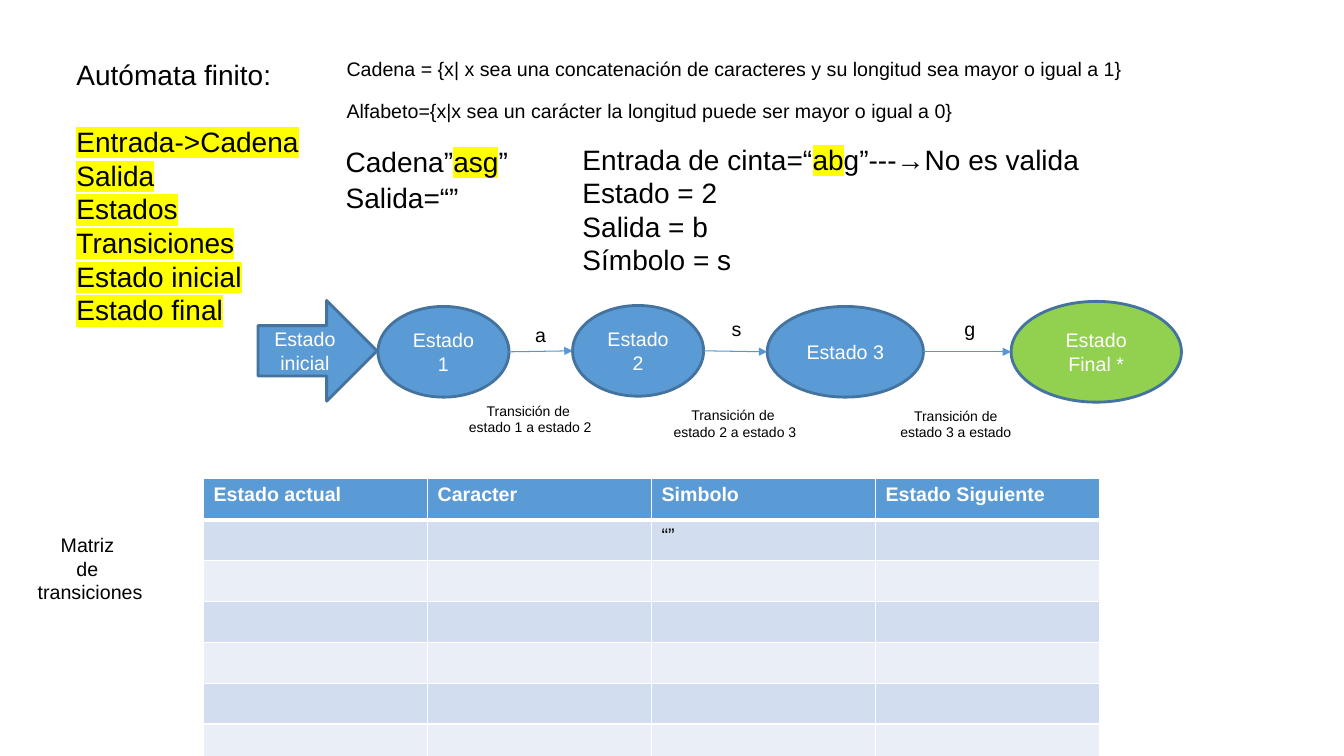
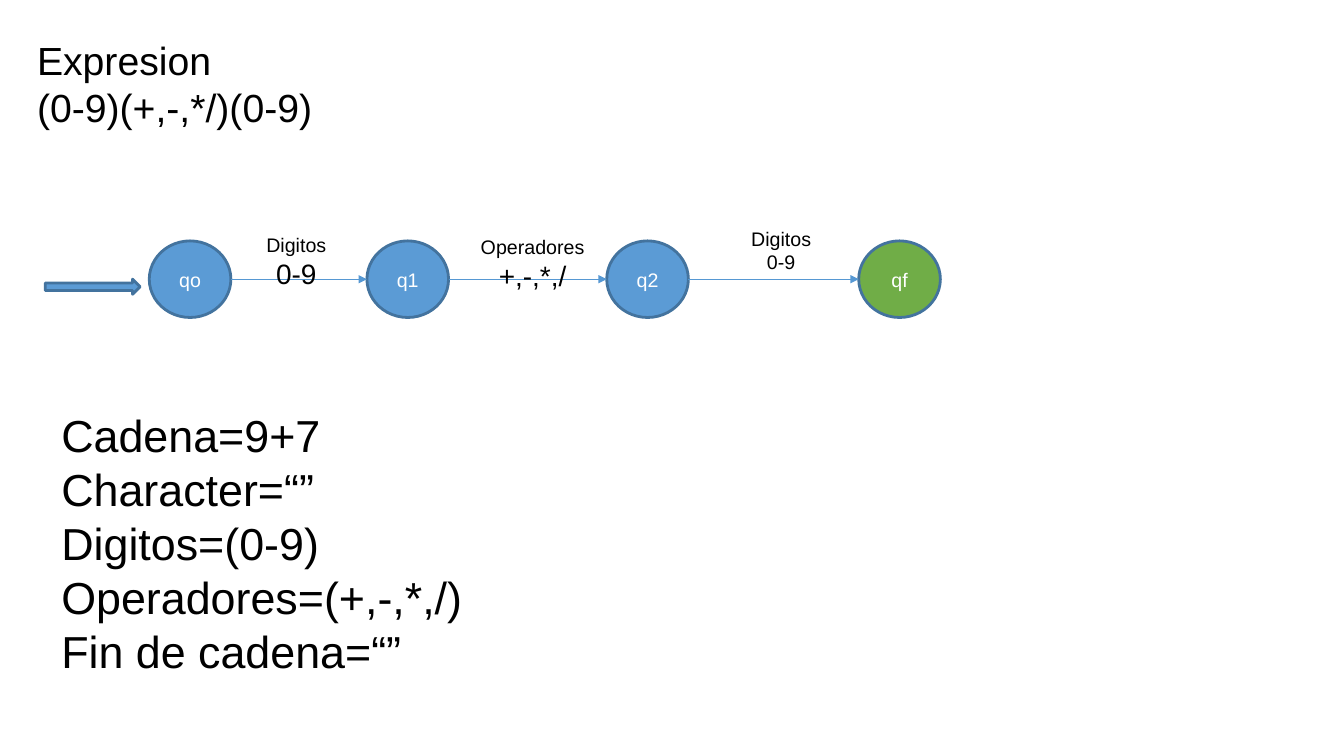
from itertools import pairwise

from lxml.etree import SubElement
from pptx import Presentation
from pptx.dml.color import RGBColor
from pptx.enum.shapes import MSO_CONNECTOR, MSO_SHAPE
from pptx.enum.text import MSO_ANCHOR, MSO_AUTO_SIZE, PP_ALIGN
from pptx.oxml import parse_xml
from pptx.oxml.ns import nsdecls, qn
from pptx.util import Pt

BLACK = RGBColor(0x00, 0x00, 0x00)
WHITE = RGBColor(0xFF, 0xFF, 0xFF)
BLUE = RGBColor(0x5B, 0x9B, 0xD5)
EDGE = RGBColor(0x43, 0x73, 0x9E)
LINK = RGBColor(0x56, 0x98, 0xD3)
LIME = RGBColor(0x92, 0xD0, 0x50)
GREEN = RGBColor(0x70, 0xAD, 0x47)
BAND = RGBColor(0xD2, 0xDE, 0xEF)
PALE = RGBColor(0xEA, 0xEF, 0xF7)
MARK = RGBColor(0xFF, 0xFF, 0x00)

LEFT, MID = PP_ALIGN.LEFT, PP_ALIGN.CENTER
OVAL, ARROW = MSO_SHAPE.OVAL, MSO_SHAPE.RIGHT_ARROW


def write(frame, text, size, color=BLACK, align=LEFT, bold=False):
    """Fill a frame line by line; text in [brackets] is highlighted."""
    style = {"name": "Arial", "size": Pt(size), "bold": bold}
    for row, line in enumerate(text.split("\n")):
        para = frame.add_paragraph() if row else frame.paragraphs[0]
        para.alignment = align
        for pos, part in enumerate(line.replace("]", "[").split("[")):
            if not part:
                continue
            run = para.add_run()
            run.text = part
            for key, value in style.items():
                setattr(run.font, key, value)
            run.font.color.rgb = color
            if pos % 2:
                light = parse_xml(
                    f'<a:highlight {nsdecls("a")}><a:srgbClr val="{MARK}"/></a:highlight>')
                run.font._element.find(qn("a:solidFill")).addnext(light)


def label(slide, text, left, top, width, height, size, align=LEFT):
    box = slide.shapes.add_textbox(Pt(left), Pt(top), Pt(width), Pt(height))
    frame = box.text_frame
    frame.word_wrap = False
    frame.auto_size = MSO_AUTO_SIZE.SHAPE_TO_FIT_TEXT
    write(frame, text, size, align=align)
    return frame


deck = Presentation()
deck.slide_width, deck.slide_height = Pt(960), Pt(540)
theory, sample = [deck.slides.add_slide(deck.slide_layouts[6]) for _ in range(2)]

# State diagrams: the start arrow, then the states in order
charts = [
    (theory, [
        (ARROW, "Estado inicial", 184.3, 214.6, 85, 72, BLUE),
        (OVAL, "Estado 1", 270, 218.9, 93.6, 64.8, BLUE),
        (OVAL, "Estado 2", 409, 218.2, 93.6, 64.8, BLUE),
        (OVAL, "Estado 3", 548, 218.9, 111.6, 64.8, BLUE),
        (OVAL, "Estado Final *", 722.2, 215.3, 121.7, 72, LIME),
    ]),
    (sample, [
        (ARROW, "", 32.4, 199.4, 67.7, 10.8, BLUE),
        (OVAL, "qo", 106.6, 172.1, 58.3, 54.7, BLUE),
        (OVAL, "q1", 262.1, 172.1, 58.3, 54.7, BLUE),
        (OVAL, "q2", 433.4, 172.1, 58.3, 54.7, BLUE),
        (OVAL, "qf", 613.4, 172.1, 58.3, 54.7, GREEN),
    ]),
]
for slide, nodes in charts:
    states = []
    for kind, text, left, top, width, height, color in nodes:
        node = slide.shapes.add_shape(kind, Pt(left), Pt(top), Pt(width), Pt(height))
        node.shadow.inherit = False
        node.fill.solid()
        node.fill.fore_color.rgb = color
        node.line.color.rgb = EDGE
        node.line.width = Pt(2)
        node.text_frame.word_wrap = True
        node.text_frame.vertical_anchor = MSO_ANCHOR.MIDDLE
        write(node.text_frame, text, 14, WHITE, MID)
        if kind == OVAL:
            states.append(node)
    for start, end in pairwise(states):
        link = slide.shapes.add_connector(
            MSO_CONNECTOR.STRAIGHT,
            start.left + start.width, start.top + start.height // 2,
            end.left, end.top + end.height // 2)
        link.line.color.rgb = LINK
        link.line.width = Pt(0.75)
        SubElement(link.line._get_or_add_ln(), qn("a:tailEnd"), type="triangle")
        SubElement(link._element.spPr, qn("a:effectLst"))

# Theory: definitions, tape and transitions
parts = label(theory, "Autómata finito:\n[Entrada->Cadena]\n[Salida]\n[Estados]\n"
              "[Transiciones]\n[Estado inicial]\n[Estado final]",
              47.5, 37.4, 173, 201, 20)
parts.paragraphs[0].space_after = Pt(24)

notes = [
    ("Cadena = {x| x sea una concatenación de caracteres y su longitud sea mayor o igual a 1}",
     240.5, 37.4, 571, 24.5, 14),
    ("Alfabeto={x|x sea un carácter la longitud puede ser mayor o igual a 0}",
     240.5, 67, 449.3, 24.5, 14),
    ("Cadena”[asg]”", 239.8, 99.4, 131, 31.7, 20),
    ("Salida=“”", 239.8, 125.3, 96.5, 31.7, 20),
    ("Entrada de cinta=“[ab]g”---→No es valida\nEstado = 2\nSalida = b\nSímbolo = s",
     409, 97.9, 371.5, 104.4, 20),
    ("a", 375.1, 226.8, 22.3, 24.5, 14),
    ("s", 515.5, 222.5, 21.6, 24.5, 14),
    ("g", 681.8, 222.5, 22.3, 24.5, 14),
]
for note in notes:
    label(theory, *note)

moves = [
    ("estado 1 a estado 2", 327.6, 283.7, 102.2),
    ("estado 2 a estado 3", 473.8, 286.6, 102.2),
    ("estado 3 a estado ", 635.8, 287.3, 96.5),
]
for text, left, top, width in moves:
    label(theory, "Transición de \n" + text, left, top, width, 31.7, 10, MID)

# Theory: transition matrix
label(theory, "Matriz \nde \ntransiciones", 19.4, 377.3, 90, 58.3, 14, MID)
heads = ["Estado actual", "Caracter", "Simbolo", "Estado Siguiente"]
rows = [heads, ["", "", "“”", ""]] + [[""] * 4] * 5
grid = theory.shapes.add_table(
    len(rows), len(heads), Pt(145.4), Pt(342), Pt(640), Pt(204.4)).table
for r, row in enumerate(rows):
    grid.rows[r].height = Pt(29.2)
    for c, text in enumerate(row):
        cell = grid.cell(r, c)
        write(cell.text_frame, text, 14, BLACK if r else WHITE, bold=r == 0)
        sides = {"L": 1, "R": 1, "T": 3 if r == 1 else 1, "B": 1 if r else 3}
        props = cell._tc.get_or_add_tcPr()
        for side, width in sides.items():
            edge = SubElement(props, qn(f"a:ln{side}"), w=str(Pt(width)))
            paint = SubElement(edge, qn("a:solidFill"))
            SubElement(paint, qn("a:srgbClr"), val=str(WHITE))
        cell.fill.solid()
        cell.fill.fore_color.rgb = (BAND if r % 2 else PALE) if r else BLUE

# Sample: expression, inputs and values
label(sample, "Expresion\n(0-9)(+,-,*/)(0-9)", 19.4, 22.3, 213.8, 74.9, 28)
inputs = [
    ("Digitos\n0-9", 182.9, 162.7, 57.6, 48.2, 20),
    ("Operadores\n+,-,*,/", 336.2, 164.2, 88.6, 48.2, 20),
    ("Digitos\n0-9", 529.2, 158.4, 57.6, 41.5, 14),
]
for text, left, top, width, height, size in inputs:
    frame = label(sample, text, left, top, width, height, size, MID)
    frame.paragraphs[0].runs[0].font.size = Pt(14)
label(sample, "Cadena=9+7\nCharacter=“”\nDigitos=(0-9)\nOperadores=(+,-,*,/)\n"
      "Fin de cadena=“”", 36.7, 288, 303.1, 200.9, 32)

deck.save("out.pptx")
